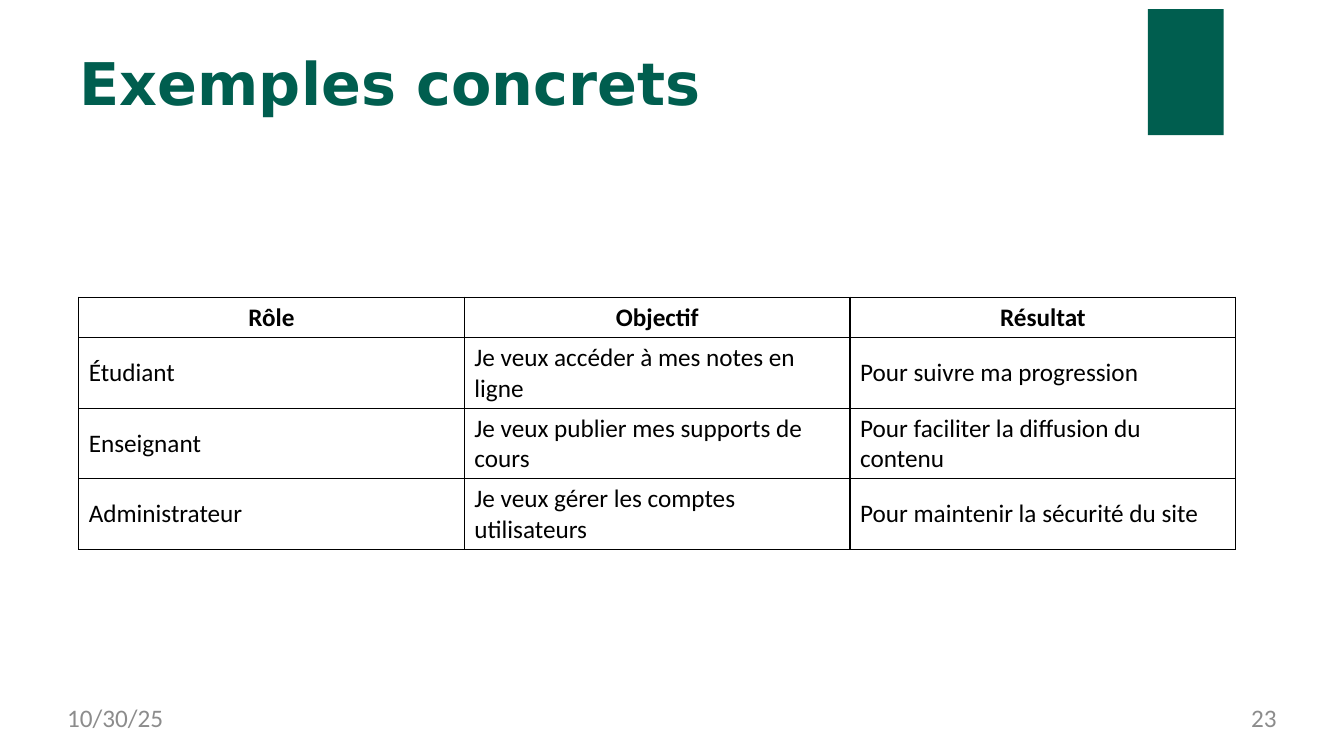
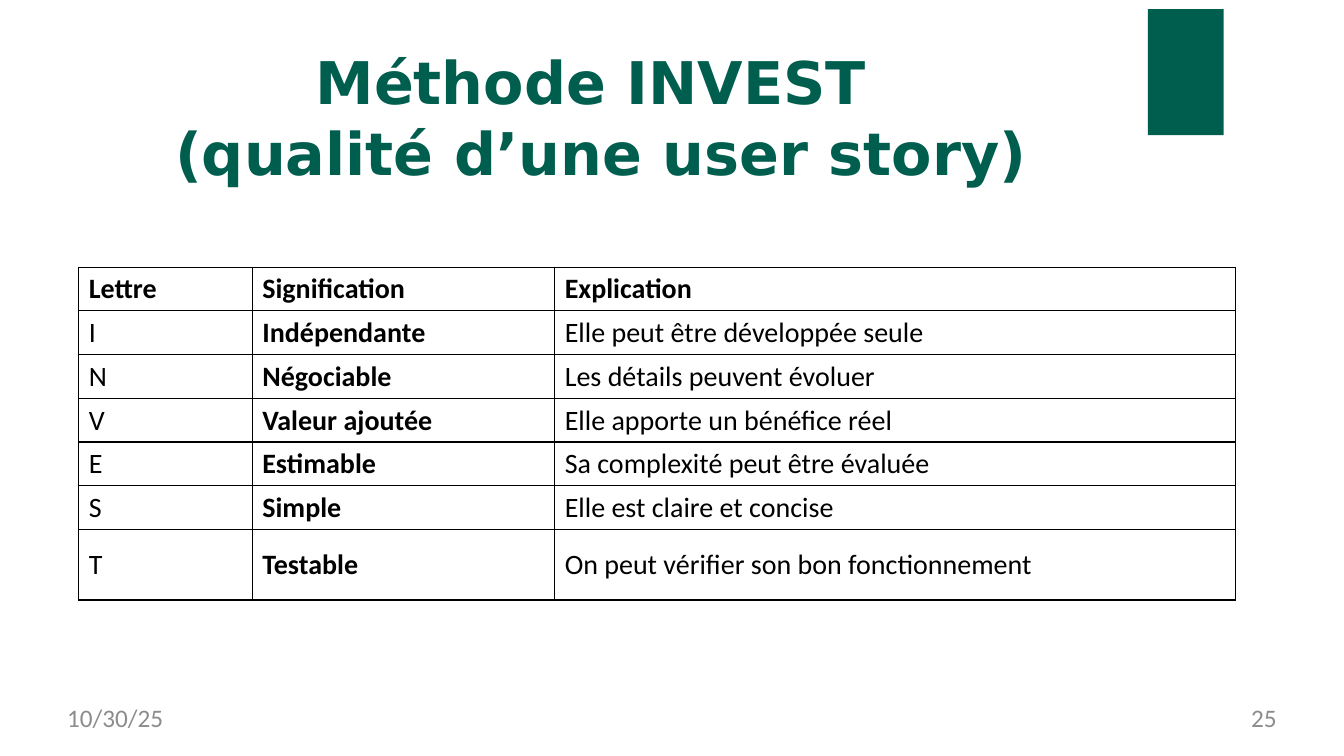
"""Build two slides on user stories, each with a title and a bordered table."""

import dataclasses

import lxml.etree
import pptx
import pptx.dml.color
import pptx.enum.shapes
import pptx.enum.text
import pptx.oxml.ns
import pptx.presentation
import pptx.slide
import pptx.table
import pptx.text.text
import pptx.util

Pt = pptx.util.Pt
Align = pptx.enum.text.PP_ALIGN

GREEN = "005E4F"
GRAY = "8C8C8C"
BLACK = "000000"
TITLE_FONT = {"name": "DejaVu Sans", "size": Pt(42), "bold": True}
FOOTER_FONT = {"name": "Calibri", "size": Pt(18), "bold": False}
TABLE_LEFT = 56.2
DATE = "10/30/25"


@dataclasses.dataclass(frozen=True)
class Box:
    left: float
    top: float
    width: float
    height: float

    def lengths(self) -> list[pptx.util.Length]:
        return [Pt(value) for value in dataclasses.astuple(self)]


@dataclasses.dataclass(frozen=True)
class TableSlide:
    title: str
    title_height: float
    title_align: Align
    number: str
    table_top: float
    column_widths: tuple[float, ...]
    row_heights: tuple[float, ...]
    font_size: float
    header_align: Align
    bold_columns: tuple[int, ...]
    rows: tuple[tuple[str, ...], ...]


BAND = Box(820, 6.5, 54, 90)
DATE_BOX = Box(48, 502, 221, 27)
NUMBER_BOX = Box(691, 502, 221, 27)

SLIDES = (
    TableSlide(
        title="Exemples concrets",
        title_height=51,
        title_align=Align.LEFT,
        number="23",
        table_top=212.3,
        column_widths=(275.5,) * 3,
        row_heights=(28.8,) + (50.4,) * 3,
        font_size=18,
        header_align=Align.CENTER,
        bold_columns=(),
        rows=(
            ("Rôle", "Objectif", "Résultat"),
            ("Étudiant", "Je veux accéder à mes notes en ligne", "Pour suivre ma progression"),
            ("Enseignant", "Je veux publier mes supports de cours", "Pour faciliter la diffusion du contenu"),
            ("Administrateur", "Je veux gérer les comptes utilisateurs", "Pour maintenir la sécurité du site"),
        ),
    ),
    TableSlide(
        title="Méthode INVEST \n(qualité d’une user story)",
        title_height=102,
        title_align=Align.CENTER,
        number="25",
        table_top=190.8,
        column_widths=(124, 216, 486.5),
        row_heights=(28.8,) * 6 + (50.4,),
        font_size=20,
        header_align=Align.LEFT,
        bold_columns=(1,),
        rows=(
            ("Lettre", "Signification", "Explication"),
            ("I", "Indépendante", "Elle peut être développée seule"),
            ("N", "Négociable", "Les détails peuvent évoluer"),
            ("V", "Valeur ajoutée", "Elle apporte un bénéfice réel"),
            ("E", "Estimable", "Sa complexité peut être évaluée"),
            ("S", "Simple", "Elle est claire et concise"),
            ("T", "Testable", "On peut vérifier son bon fonctionnement"),
        ),
    ),
)


def color(value: str) -> pptx.dml.color.RGBColor:
    return pptx.dml.color.RGBColor.from_string(value)


def write(frame: pptx.text.text.TextFrame, text: str, font: dict, hex_color: str, align: Align) -> None:
    paragraph = frame.paragraphs[0]
    paragraph.text = text
    paragraph.alignment = align
    for run in paragraph.runs:
        for name, value in font.items():
            setattr(run.font, name, value)
        run.font.color.rgb = color(hex_color)


def add_text(slide: pptx.slide.Slide, box: Box, text: str, font: dict, hex_color: str, align: Align) -> None:
    frame = slide.shapes.add_textbox(*box.lengths()).text_frame
    frame_format = {"word_wrap": True, "margin_left": 0, "margin_top": 0, "margin_right": 0, "margin_bottom": 0}
    for name, value in frame_format.items():
        setattr(frame, name, value)
    write(frame, text, font, hex_color, align)


def add_band(slide: pptx.slide.Slide) -> None:
    shape = slide.shapes.add_shape(pptx.enum.shapes.MSO_SHAPE.RECTANGLE, *BAND.lengths())
    shape.shadow.inherit = False
    shape.fill.solid()
    shape.fill.fore_color.rgb = color(GREEN)
    shape.line.fill.background()


def add_borders(cell: pptx.table._Cell) -> None:
    qualified = pptx.oxml.ns.qn
    properties = cell._tc.get_or_add_tcPr()
    for side in ("lnL", "lnR", "lnT", "lnB"):
        line = lxml.etree.SubElement(properties, qualified(f"a:{side}"), w=str(Pt(1)))
        fill = lxml.etree.SubElement(line, qualified("a:solidFill"))
        lxml.etree.SubElement(fill, qualified("a:srgbClr"), val=BLACK)


def add_table(slide: pptx.slide.Slide, content: TableSlide) -> None:
    box = Box(TABLE_LEFT, content.table_top, sum(content.column_widths), sum(content.row_heights))
    table = slide.shapes.add_table(len(content.rows), len(content.column_widths), *box.lengths()).table
    table.first_row = table.horz_banding = False
    for column, width in zip(table.columns, content.column_widths):
        column.width = Pt(width)
    for row, height in zip(table.rows, content.row_heights):
        row.height = Pt(height)
    for row_index, texts in enumerate(content.rows):
        is_header = row_index == 0
        for column_index, text in enumerate(texts):
            cell = table.cell(row_index, column_index)
            add_borders(cell)
            cell.fill.background()
            cell.vertical_anchor = pptx.enum.text.MSO_ANCHOR.MIDDLE
            font = {
                "name": "Calibri",
                "size": Pt(content.font_size),
                "bold": is_header or column_index in content.bold_columns,
            }
            write(cell.text_frame, text, font, BLACK, content.header_align if is_header else Align.LEFT)


def add_slide(presentation: pptx.presentation.Presentation, content: TableSlide) -> None:
    slide = presentation.slides.add_slide(presentation.slide_layouts[6])
    add_band(slide)
    title_box = Box(57, 33, 744.5, content.title_height)
    add_text(slide, title_box, content.title, TITLE_FONT, GREEN, content.title_align)
    add_text(slide, DATE_BOX, DATE, FOOTER_FONT, GRAY, Align.LEFT)
    add_text(slide, NUMBER_BOX, content.number, FOOTER_FONT, GRAY, Align.RIGHT)
    add_table(slide, content)


def main() -> None:
    presentation = pptx.Presentation()
    presentation.slide_width = Pt(960)
    presentation.slide_height = Pt(540)
    for content in SLIDES:
        add_slide(presentation, content)
    presentation.save("out.pptx")


if __name__ == "__main__":
    main()
